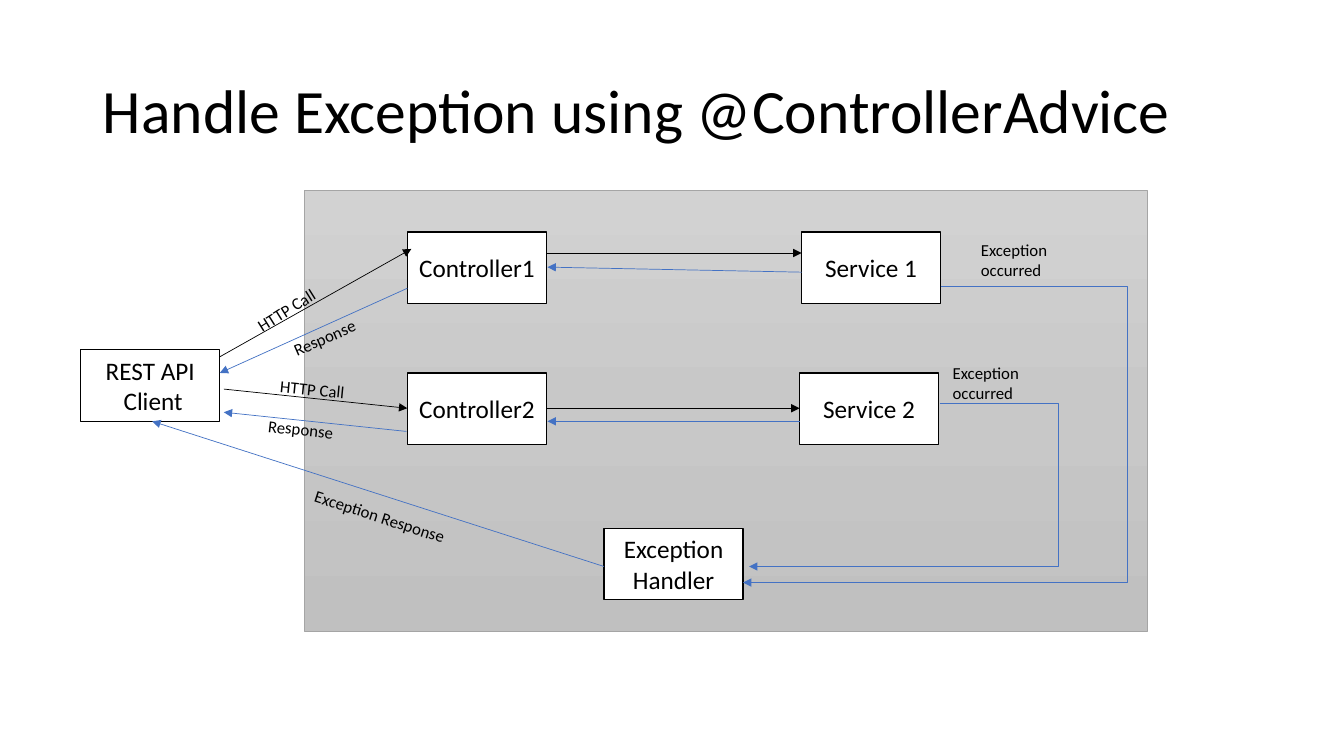
from copy import deepcopy
from dataclasses import dataclass

from lxml import etree
from pptx import Presentation
from pptx.dml.color import RGBColor
from pptx.enum.shapes import MSO_CONNECTOR, MSO_SHAPE
from pptx.enum.text import MSO_ANCHOR, MSO_AUTO_SIZE, PP_ALIGN
from pptx.oxml.ns import qn
from pptx.util import Inches, Pt

STRAIGHT, ELBOW = MSO_CONNECTOR.STRAIGHT, MSO_CONNECTOR.ELBOW
RECT, PROCESS = MSO_SHAPE.RECTANGLE, MSO_SHAPE.FLOWCHART_PROCESS
MIDDLE, TOP = MSO_ANCHOR.MIDDLE, MSO_ANCHOR.TOP
LEFT, CENTER = PP_ALIGN.LEFT, PP_ALIGN.CENTER
NO_FIT, GROW = MSO_AUTO_SIZE.NONE, MSO_AUTO_SIZE.SHAPE_TO_FIT_TEXT
TITLE_ONLY = 5
CELL = 0.1  # inches per grid column and row


@dataclass(frozen=True)
class Theme:
    font: str = "Calibri"
    ink: str = "000000"
    paper: str = "FFFFFF"
    reply: str = "4472C4"
    panel: tuple = ("D2D2D2", "C8C8C8", "C0C0C0")
    panel_line: str = "A5A5A5"
    title: int = 44
    body: int = 18
    label: int = 12
    thin: float = 0.5
    border: float = 1


def grid(*cells):
    return [Inches(c * CELL) for c in cells]


def rgb(code):
    return RGBColor.from_string(code)


def write(sp, text, size, font, color, align=LEFT, anchor=TOP, fit=NO_FIT, spacing=None):
    tf = sp.text_frame
    tf.word_wrap, tf.auto_size, tf.vertical_anchor = True, fit, anchor
    for i, line in enumerate(text.split("\n")):
        p = tf.add_paragraph() if i else tf.paragraphs[0]
        p.alignment = align
        if spacing:
            p.line_spacing = spacing
        r = p.add_run()
        r.text = line
        r.font.name, r.font.size, r.font.color.rgb = font, Pt(size), rgb(color)


class Diagram:
    def __init__(self, slide, theme):
        self.s, self.t = slide, theme

    def title(self, text, x, y, w, h):
        sp = self.s.shapes.title
        sp.left, sp.top, sp.width, sp.height = grid(x, y, w, h)
        write(sp, text, self.t.title, self.t.font, self.t.ink, anchor=MIDDLE, spacing=0.9)

    def shape(self, kind, x, y, w, h, line, width):
        sp = self.s.shapes.add_shape(kind, *grid(x, y, w, h))
        sp.shadow.inherit = False
        sp.line.color.rgb, sp.line.width = rgb(line), Pt(width)
        return sp

    def panel(self, x, y, w, h):
        sp = self.shape(PROCESS, x, y, w, h, self.t.panel_line, self.t.thin)
        sp.fill.gradient()
        sp.fill.gradient_angle = 270  # top to bottom
        first = sp.element.spPr.find(".//" + qn("a:gs"))
        first.addnext(deepcopy(first))
        for stop, color, pos in zip(sp.fill.gradient_stops, self.t.panel, (0, 0.5, 1)):
            stop.color.rgb, stop.position = rgb(color), pos

    def box(self, text, x, y, w=13.8, h=7.1):
        sp = self.shape(RECT, x, y, w, h, self.t.ink, self.t.border)
        sp.fill.solid()
        sp.fill.fore_color.rgb = rgb(self.t.paper)
        write(sp, text, self.t.body, self.t.font, self.t.ink, align=CENTER, anchor=MIDDLE)

    def arrow(self, color, x1, y1, x2, y2, via=None):
        """Arrow between two points; via is the column of an elbow's upright part."""
        cx = self.s.shapes.add_connector(ELBOW if via else STRAIGHT, *grid(x1, y1, x2, y2))
        cx.line.color.rgb, cx.line.width = rgb(color), Pt(self.t.thin)
        sppr = cx.element.spPr
        etree.SubElement(sppr.find(qn("a:ln")), qn("a:tailEnd"), type="triangle")
        etree.SubElement(sppr, qn("a:effectLst"))
        if via:
            bend = round((via - x1) / (x2 - x1) * 100000)
            geom = sppr.find(qn("a:prstGeom"))
            guides = geom.find(qn("a:avLst"))
            if guides is None:
                guides = etree.SubElement(geom, qn("a:avLst"))
            etree.SubElement(guides, qn("a:gd"), name="adj1", fmla=f"val {bend}")

    def label(self, text, x, y, w=12.4, h=3, turn=0):
        sp = self.s.shapes.add_textbox(*grid(x, y, w, h))
        sp.rotation = turn
        write(sp, text, self.t.label, self.t.font, self.t.ink, fit=GROW)


prs = Presentation()
prs.slide_width, prs.slide_height = Inches(13.33), Inches(7.5)
theme = Theme()
d = Diagram(prs.slides.add_slide(prs.slide_layouts[TITLE_ONLY]), theme)
d.title("Handle Exception using @ControllerAdvice", 9.2, 4, 115, 14.5)

# Server panel and components
d.panel(30.2, 18.9, 83.6, 43.7)
for text, x, y in [
    ("REST API\n Client", 8, 34.7),
    ("Controller1", 40.4, 23),
    ("Controller2", 40.4, 37),
    ("Service 1", 79.5, 23),
    ("Service 2", 79.3, 37),
    ("Exception Handler", 59.9, 52.4),
]:
    d.box(text, x, y)

# Calls
for ends in [
    (21.8, 35.4, 40.8, 24.7),
    (22.2, 38.6, 40.4, 40.5),
    (54.3, 25.1, 79.5, 25.1),
    (54.3, 40.5, 79.3, 40.5),
]:
    d.arrow(theme.ink, *ends)

# Responses, then exceptions routed to the handler
for ends in [
    (40.4, 28.6, 21.8, 37),
    (40.3, 42.8, 22.2, 40.9),
    (79.5, 27, 54.3, 26.5),
    (79.3, 41.8, 54.3, 41.8),
    (59.9, 56.2, 15.1, 41.8),
    (93.3, 28.4, 73.7, 57.8, 111.8),
    (93.2, 40, 74.3, 56.2, 105),
]:
    d.arrow(theme.reply, *ends)

# Arrow labels
d.label("HTTP Call", 23.9, 28.2, turn=328)
d.label("HTTP Call", 26.8, 37.3, turn=5.6)
d.label("Response", 27.8, 31.2, turn=336.4)
d.label("Response", 25.6, 41.3, turn=6.5)
d.label("Exception Response", 29.9, 50.2, w=18.4, turn=18)
for x, y in [(96.3, 23.3), (93.5, 35.5)]:
    d.label("Exception occurred", x, y, h=5)

prs.save("out.pptx")
